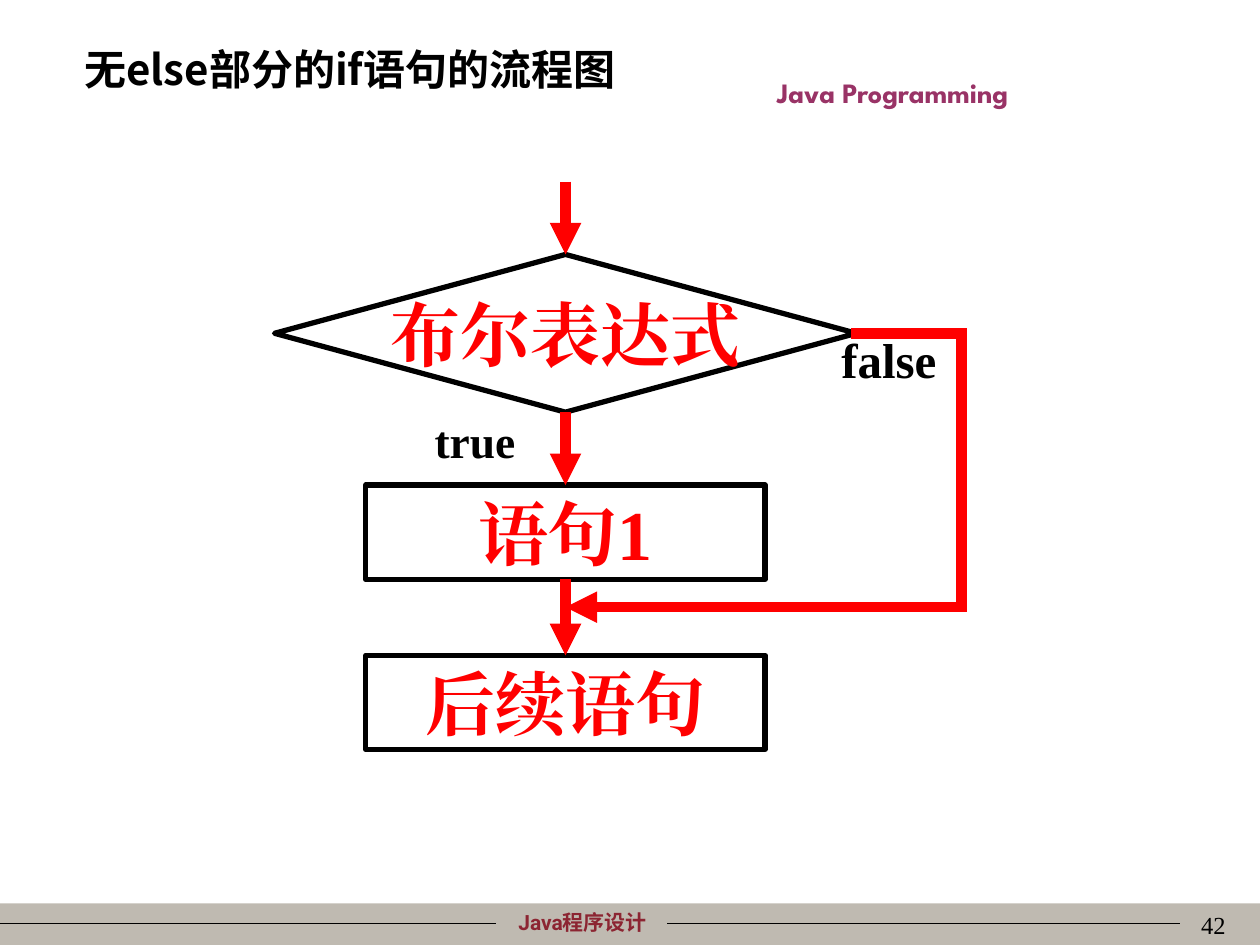
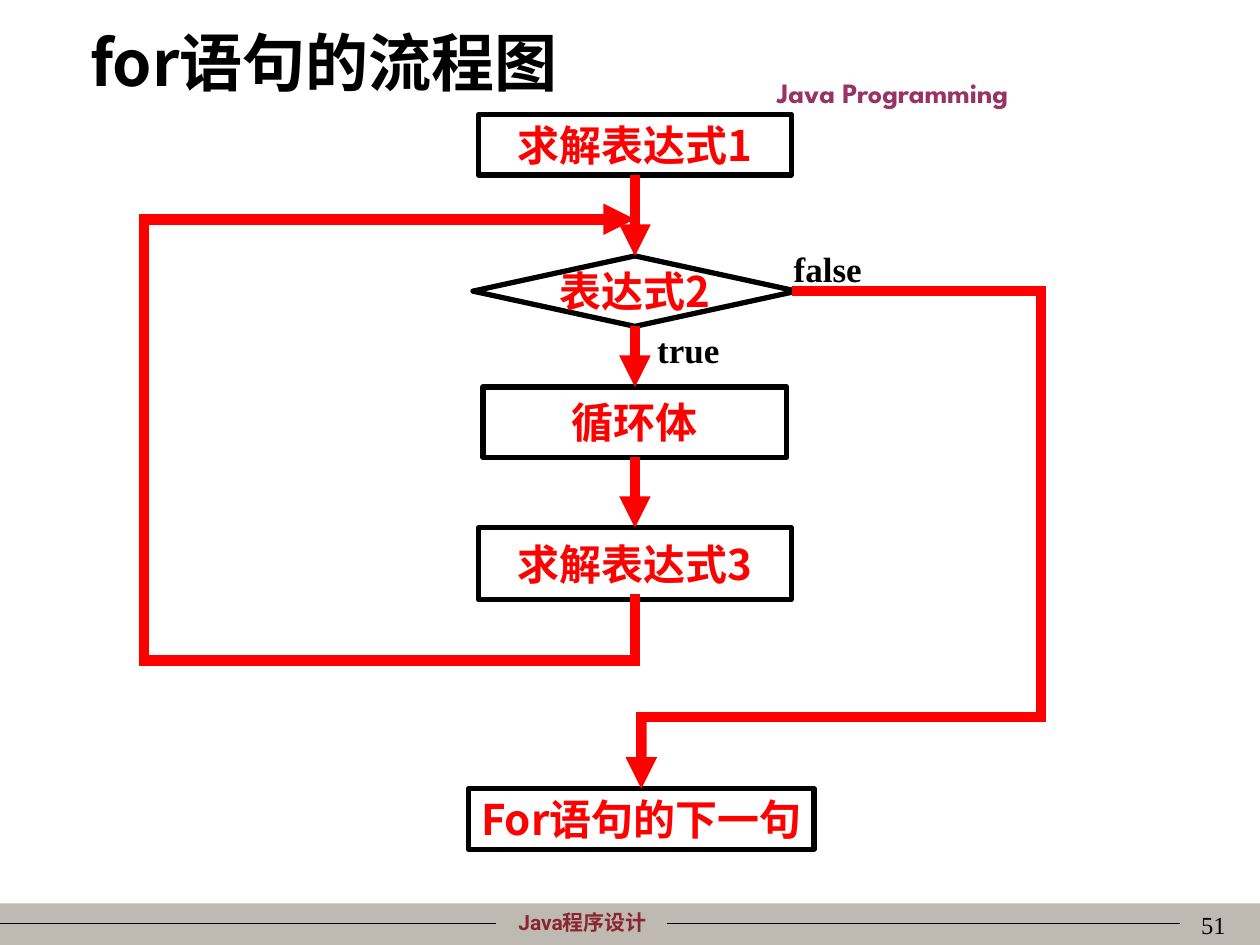
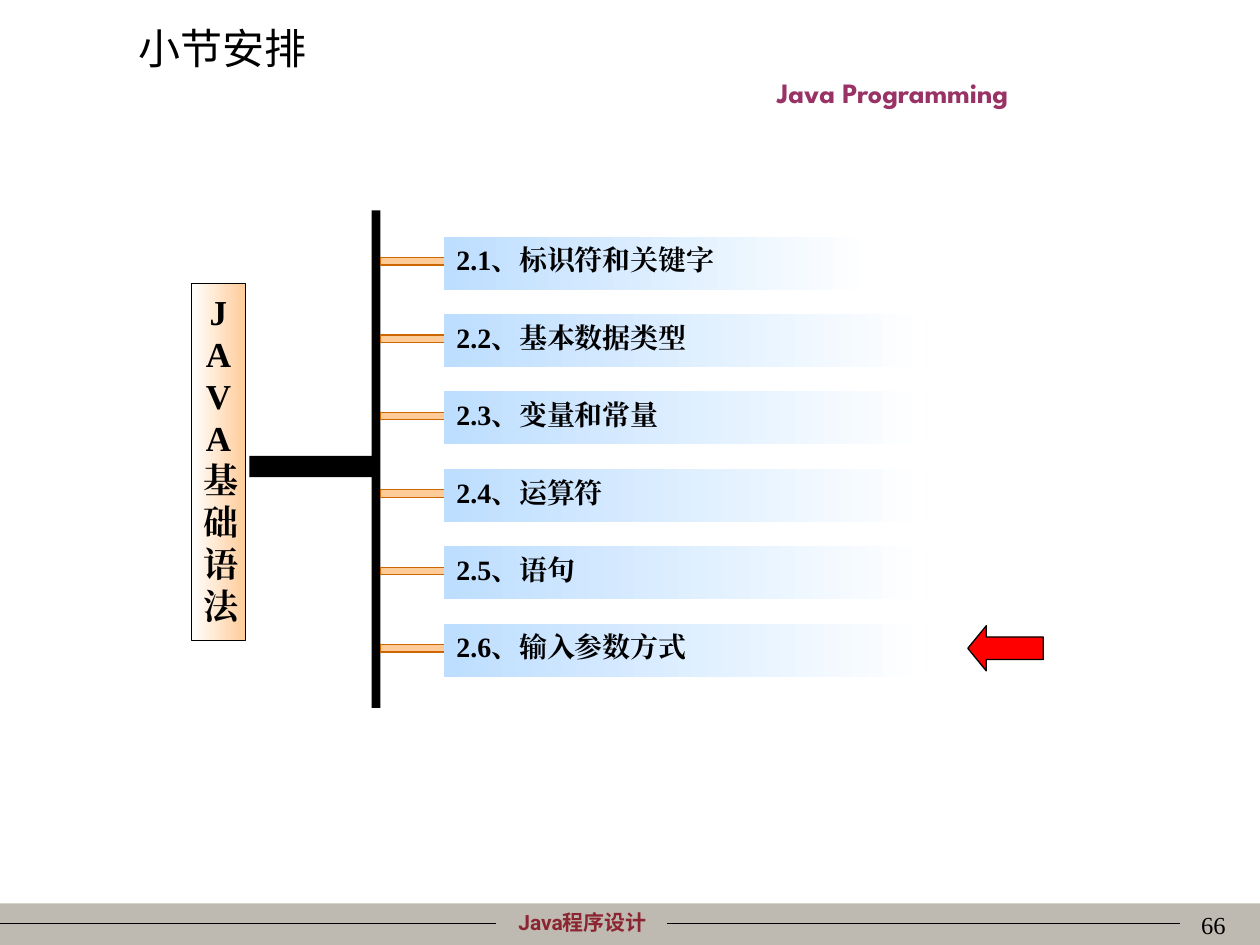
"""Builds three Java course slides: two flowcharts and a section outline."""
from dataclasses import dataclass, replace
from itertools import pairwise

from pptx import Presentation
from pptx import util as u
from pptx.dml.color import RGBColor
from pptx.enum import shapes, text
from pptx.oxml.ns import qn
from pptx.oxml.xmlchemy import OxmlElement

SHAPE, ALIGN, ANCHOR = shapes.MSO_SHAPE, text.PP_ALIGN, text.MSO_ANCHOR
TOP, BOTTOM, RIGHT = 0, 2, 3


@dataclass(frozen=True)
class Type:
    """A text style."""
    size: float
    font: str = "Times New Roman"
    color: str = "000000"
    bold: bool = True


@dataclass(frozen=True)
class Theme:
    """Colours, line widths and type styles of the deck."""
    ink: str = "000000"
    flow: str = "FF0000"
    band: str = "BFBAB1"
    topic: str = "BDDEFF"
    peach: str = "FFCC99"
    rust: str = "CC6600"
    white: str = "FFFFFF"
    thin: float = 0.75
    node_line: float = 3
    flow_line: float = 6
    title: Type = Type(24, "Noto Sans CJK SC")
    course: Type = Type(12, "Roboto", "8C2532")
    header: Type = Type(16, "League Spartan", "993366")
    page: Type = Type(14, bold=False)
    big_node: Type = Type(40, color="FF0000")
    node: Type = Type(24, "Noto Sans CJK JP", "FF0000")
    label: Type = Type(20)
    root: Type = Type(20)
    item: Type = Type(16)


@dataclass(frozen=True)
class Box:
    """A region in centimetres."""
    x: float
    y: float
    w: float
    h: float

    def at(self, x, y):
        """Return a slide point from a point inside the box."""
        return u.Cm(self.x + x), u.Cm(self.y + y)

    def inner(self, x, y, w, h):
        """Return a box placed relative to this one."""
        return Box(self.x + x, self.y + y, w, h)

    def place(self):
        """Return left, top, width and height as lengths."""
        return [u.Cm(v) for v in (self.x, self.y, self.w, self.h)]


T = Theme()


def rgb(color):
    """Return a colour object for a hex value."""
    return RGBColor.from_string(color)


def write(sp, lines, style, align=ALIGN.LEFT, anchor=ANCHOR.TOP, wrap=True,
          spacing=None, inset_y=0.13):
    """Write one paragraph per line in one style."""
    tf = sp.text_frame
    tf.auto_size = text.MSO_AUTO_SIZE.NONE
    tf.word_wrap, tf.vertical_anchor = wrap, anchor
    tf.margin_left = tf.margin_right = u.Cm(0.25)
    tf.margin_top = tf.margin_bottom = u.Cm(inset_y)
    tf.text = "\n".join(lines)
    for p in tf.paragraphs:
        p.alignment = align
        if spacing:
            p.line_spacing = spacing
        f = p.font
        f.size, f.name, f.bold = u.Pt(style.size), style.font, style.bold
        f.color.rgb = rgb(style.color)
        ea = OxmlElement("a:ea")
        ea.set("typeface", style.font)
        p._p.pPr.find(qn("a:defRPr")).append(ea)


def textbox(s, box, line, style, **options):
    """Add a text box with one line."""
    write(s.shapes.add_textbox(*box.place()), [line], style, **options)


def shape(s, kind, box, fill=None, line=None, width=T.thin):
    """Add a flat shape; a pair of colours gives a left-to-right gradient."""
    sp = s.shapes.add_shape(kind, *box.place())
    sp.shadow.inherit = False
    if isinstance(fill, tuple):
        sp.fill.gradient()
        sp.fill.gradient_angle = 0
        for stop, color in zip(sp.fill.gradient_stops, fill):
            stop.color.rgb = rgb(color)
    elif fill:
        sp.fill.solid()
        sp.fill.fore_color.rgb = rgb(fill)
    else:
        sp.fill.background()
    if line:
        sp.line.color.rgb = rgb(line)
        sp.line.width = u.Pt(width)
    else:
        sp.line.fill.background()
    return sp


def connector(s, start, end, color, width, arrow=False):
    """Add a straight line, with an arrowhead or square caps."""
    c = s.shapes.add_connector(shapes.MSO_CONNECTOR.STRAIGHT, *start, *end)
    c.line.color.rgb = rgb(color)
    c.line.width = u.Pt(width)
    ln = c.line._get_or_add_ln()
    if arrow:
        tail = OxmlElement("a:tailEnd")
        tail.set("type", "triangle")
        ln.append(tail)
    else:
        ln.set("cap", "sq")
    c._element.spPr.append(OxmlElement("a:effectLst"))
    return c


def side(sp, site):
    """Return the middle of a node's top, left, bottom or right side."""
    mid_x, mid_y = sp.left + sp.width // 2, sp.top + sp.height // 2
    return ((mid_x, sp.top), (sp.left, mid_y),
            (mid_x, sp.top + sp.height), (sp.left + sp.width, mid_y))[site]


def route(s, points, begin=None, end=None):
    """Draw a flow line ending in an arrow, joined to (node, site) ends."""
    if begin:
        points = [side(*begin), *points]
    if end:
        points = [*points, side(*end)]
    legs = list(pairwise(points))
    lines = [connector(s, a, b, T.flow, T.flow_line, i == len(legs))
             for i, (a, b) in enumerate(legs, 1)]
    if begin:
        lines[0].begin_connect(*begin)
    if end:
        lines[-1].end_connect(*end)


def node(s, box, axis, top, w, h, label, style, kind=SHAPE.FLOWCHART_PROCESS):
    """Add a flowchart node centred on a vertical axis."""
    sp = shape(s, kind, box.inner(axis - w / 2, top, w, h),
               line=T.ink, width=T.node_line)
    write(sp, [label], style, ALIGN.CENTER, ANCHOR.MIDDLE, wrap=False)
    return sp


def footer(s, box, page):
    """Add the footer band with its rules, course name and page number."""
    shape(s, SHAPE.RECTANGLE, box, fill=T.band)
    textbox(s, box.inner(9.19, 0, 5.11, 0.76), "Java程序设计", T.course,
            align=ALIGN.CENTER)
    for x1, x2 in ((0, 9.98), (13.46, 23.77)):
        connector(s, box.at(x1, 0.41), box.at(x2, 0.41), T.ink, T.thin)
    textbox(s, box.inner(19.68, 0, 5.28, box.h), str(page), T.page,
            align=ALIGN.RIGHT)


def base_slide(prs, title, box, style, page):
    """Add a title-only slide with the shared header and footer."""
    s = prs.slides.add_slide(prs.slide_layouts[5])
    sp = s.shapes.title
    sp.left, sp.top, sp.width, sp.height = box.place()
    write(sp, [title], style, anchor=ANCHOR.MIDDLE, inset_y=0)
    textbox(s, Box(12.9, 1.4, 10.19, 0.94), "Java Programming", T.header,
            align=ALIGN.CENTER)
    footer(s, Box(0, 18.21, 25.4, 0.84), page)
    return s


def if_chart(s, box):
    """Draw the flowchart of an if statement without else."""
    axis, style = 6, T.big_node
    test = node(s, box, axis, 1.47, 11.73, 3.18, "布尔表达式", style,
                SHAPE.FLOWCHART_DECISION)
    body, after = (node(s, box, axis, top, 8.05, 1.9, label, style)
                   for top, label in ((6.12, "语句1"), (9.55, "后续语句")))
    route(s, [box.at(axis, 0)], end=(test, TOP))
    for a, b in pairwise((test, body, after)):
        route(s, [], (a, BOTTOM), (b, TOP))
    lane, join = box.w, 8.58
    route(s, [(box.at(lane, 0)[0], side(test, RIGHT)[1]),
              box.at(lane, join), box.at(axis, join)], (test, RIGHT))
    textbox(s, box.inner(3.11, 4.67, 3.35, 1.4), "true",
            replace(T.label, size=26), spacing=0.9)
    textbox(s, box.inner(11.31, 2.99, 3.38, 1.27), "false",
            replace(T.label, size=28), spacing=0.9)


def for_chart(s, box):
    """Draw the flowchart of a for statement."""
    axis, exit_axis = 9.9, 10.03
    start = node(s, box, axis, 0, 6.3, 1.22, "求解表达式1", T.node)
    test = node(s, box, axis, 2.85, 6.53, 1.42, "表达式2", T.node,
                SHAPE.FLOWCHART_DECISION)
    body = node(s, box, axis, 5.49, 6.12, 1.42, "循环体", T.node)
    step = node(s, box, axis, 8.33, 6.3, 1.45, "求解表达式3", T.node)
    after = node(s, box, exit_axis, 13.59, 6.96, 1.22, "For语句的下一句", T.node)
    for a, b in pairwise((start, test, body, step)):
        route(s, [], (a, BOTTOM), (b, TOP))
    loop_low, loop_high, exit_y = 11, 2.11, 12.14
    route(s, [box.at(axis, loop_low), box.at(0, loop_low),
              box.at(0, loop_high), box.at(axis, loop_high)], (step, BOTTOM))
    route(s, [(box.at(box.w, 0)[0], side(test, RIGHT)[1]),
              box.at(box.w, exit_y), box.at(exit_axis, exit_y)],
          (test, RIGHT), (after, TOP))
    for x, y, label in ((10.1, 4.27, "true"), (12.85, 2.64, "false")):
        textbox(s, box.inner(x, y, 3.38, 1.22), label, T.label, spacing=0.9)


def outline(s, box, root, topics, current):
    """Draw the section tree and mark the current topic."""
    sp = shape(s, SHAPE.RECTANGLE, box.inner(0, 1.48, 1.09, 7.19),
               (T.white, T.peach), T.ink)
    write(sp, root, T.root, ALIGN.CENTER)
    shape(s, SHAPE.RECTANGLE, box.inner(1.17, 4.95, 2.54, 0.43), T.ink)
    shape(s, SHAPE.RECTANGLE, box.inner(3.63, 0, 0.18, box.h), T.ink)
    first, pitch, h = 0.53, 1.56, 1.07
    for i, topic in enumerate(topics):
        y = first + i * pitch
        mid = y + h / 2 - 0.03
        shape(s, SHAPE.RECTANGLE, box.inner(3.81, mid - 0.08, 1.29, 0.15),
              T.peach, T.rust)
        sp = shape(s, SHAPE.RECTANGLE,
                   box.inner(5.09, y, 9.73 if i else 8.66, h),
                   (T.topic, T.white))
        write(sp, [f"2.{i + 1}、{topic}"], T.item, ALIGN.JUSTIFY)
        if topic == current:
            arrow = shape(s, SHAPE.LEFT_ARROW,
                          box.inner(15.65, mid - 0.46, 1.52, 0.91),
                          T.flow, T.ink)
            arrow.adjustments[1] = 0.41


def main():
    """Build and save the deck."""
    prs = Presentation()
    prs.slide_width, prs.slide_height = u.Cm(25.4), u.Cm(19.05)

    s = base_slide(prs, "无else部分的if语句的流程图",
                   Box(1.45, 0.74, 21.67, 1.3), T.title, 42)
    if_chart(s, Box(5.4, 3.66, 13.98, 11.45))

    s = base_slide(prs, "for语句的流程图", Box(1.57, 0.43, 22.89, 1.6),
                   replace(T.title, size=36), 51)
    for_chart(s, Box(2.9, 2.31, 18.09, 14.81))

    s = base_slide(prs, "小节安排", Box(2.54, 0.33, 7.24, 1.27),
                   replace(T.title, bold=False), 66)
    outline(s, Box(3.86, 4.24, 17.17, 10.03), [*"JAVA", "基础语法"],
            ["标识符和关键字", "基本数据类型", "变量和常量", "运算符", "语句",
             "输入参数方式"], "输入参数方式")

    prs.save("out.pptx")


if __name__ == "__main__":
    main()
